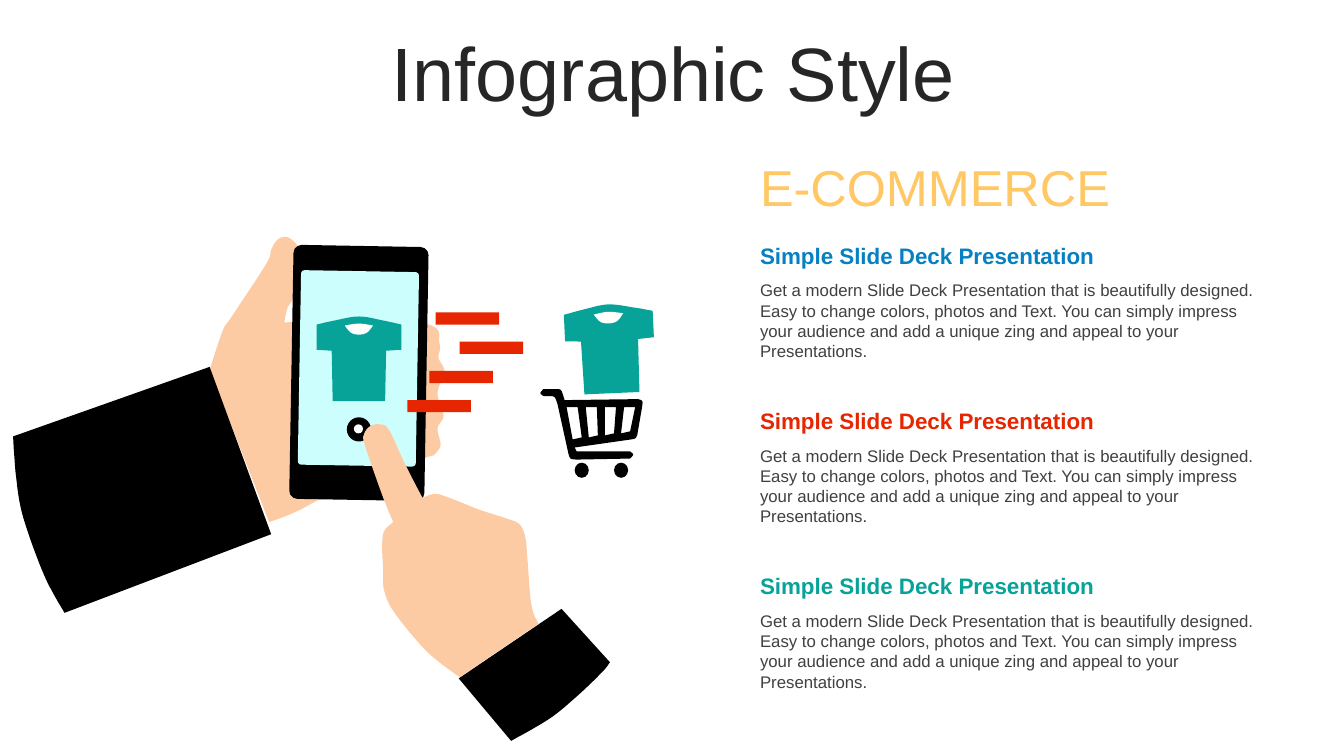
from dataclasses import dataclass
from math import cos, radians, sin

from pptx import Presentation
from pptx.dml.color import RGBColor
from pptx.enum.shapes import MSO_SHAPE as Preset
from pptx.enum.text import MSO_ANCHOR as Anchor, MSO_AUTO_SIZE as AutoSize, PP_ALIGN as Align
from pptx.shapes.base import BaseShape
from pptx.shapes.shapetree import GroupShapes
from pptx.slide import Slide
from pptx.text.text import TextFrame
from pptx.util import Inches, Pt

Point = tuple[float, float]
Edge = tuple[Point, ...]
Contour = tuple[Edge, ...]

COLORS = {
    "title": "262626", "body": "404040", "amber": "FFC864", "blue": "0680C3",
    "red": "E62601", "teal": "07A398", "skin": "FDCBA3", "black": "000000",
    "screen": "CDFEFE", "white": "FEFEFD",
}
HEADING = "Simple Slide Deck Presentation"
BODY = (
    "Get a modern Slide Deck Presentation that is beautifully designed. "
    "Easy to change colors, photos and Text. You can simply impress your audience "
    "and add a unique zing and appeal to your Presentations."
)
CURVE_STEPS = 8
UNITS_PER_INCH = 1000


@dataclass(frozen=True)
class Outline:
    color: str
    contours: tuple[Contour, ...]


@dataclass(frozen=True)
class Block:
    preset: Preset
    color: str
    left: float
    top: float
    width: float
    height: float
    rotation: float = 0
    corner: float | None = None


@dataclass(frozen=True)
class Label:
    text: str
    color: str
    size: int
    left: float
    top: float
    width: float
    height: float
    bold: bool = False
    align: Align = Align.LEFT
    anchor: Anchor = Anchor.TOP


def straight(*corners: Point) -> Contour:
    return tuple((corner,) for corner in corners)


def mirrored(points: Edge) -> Edge:
    return tuple((-x, y) for x, y in reversed(points))


def placed(contour: Contour, x: float, y: float, scale: float, degrees: float) -> Contour:
    across, down = scale * cos(radians(degrees)), scale * sin(radians(degrees))
    return tuple(
        tuple((x + across * u - down * v, y + down * u + across * v) for u, v in edge)
        for edge in contour
    )


def shirt(x: float, y: float, scale: float = 1, degrees: float = 0) -> tuple[Outline, Outline]:
    side = ((0.42, 0.08), (0.42, 0.33), (0.27, 0.34), (0.26, 0.84))
    shoulder, neck_end = (0.24, 0.04), (0.14, 0.09)
    shoulder_line = (*mirrored((shoulder,)), (0, 0), shoulder, side[0])
    body = (shoulder_line, *straight(*side[1:], *mirrored(side)))
    neck_dip = ((0.08, 0.16), (0, 0.18), *mirrored((neck_end, (0.08, 0.16))))
    collar = (((0, 0.07), neck_end), neck_dip)
    return (Outline("teal", (placed(body, x, y, scale, degrees),)),
            Outline("white", (placed(collar, x, y, scale, degrees),)))


def cart_slot(column: int) -> Contour:
    top_left, bottom_left = 5.62 + 0.19 * column, 5.68 + 0.16 * column
    bottom = 4.36 - 0.02 * column
    return straight((top_left, 4.04), (top_left + 0.11, 4.04),
                    (bottom_left + 0.09, bottom - 0.02), (bottom_left, bottom))


THUMB = ((2.21, 3.28), (2.3, 3.14), (2.64, 2.62), (2.69, 2.48), (2.75, 2.38),
         (2.84, 2.35), (2.92, 2.4), (2.95, 2.44))
THUMB_CROOK = ((2.92, 2.6), (2.91, 2.93), (2.85, 3.06), (2.82, 3.2))
FOUR_FINGERS = ((4.21, 3.21), (4.36, 3.41), (4.35, 3.55), (4.41, 3.69), (4.34, 3.9),
                (4.4, 4.12), (4.34, 4.25), (4.37, 4.42), (4.3, 4.52))
PALM_HEEL = ((4.17, 4.56), (3.35, 4.87), (2.93, 5.08), (2.67, 5.18))
HOLDING_HAND = Outline("skin", (
    (THUMB, THUMB_CROOK, ((3.09, 3.18),), FOUR_FINGERS, PALM_HEEL, ((2.08, 3.67),)),))

HAND_EDGE = ((4.24, 6.47), (3.92, 6.09), (3.81, 5.86), (3.8, 5.64), (3.79, 5.43),
             (3.81, 5.27), (3.9, 5.18))
INDEX_FINGER = ((3.79, 4.91), (3.62, 4.42), (3.61, 4.31), (3.67, 4.23), (3.77, 4.21),
                (3.86, 4.27), (4.02, 4.61), (4.19, 4.94))
KNUCKLES = ((4.31, 4.9), (4.43, 4.93), (4.61, 5), (4.76, 5.06), (5.01, 5.14),
            (5.15, 5.2), (5.21, 5.33), (5.23, 5.53), (5.27, 6), (5.34, 6.19))
TAPPING_HAND = Outline("skin", ((HAND_EDGE, INDEX_FINGER, KNUCKLES, ((4.56, 6.72),)),))

LEFT_HEM = ((0.44, 5.71), (0.23, 5.13), (0.16, 4.73), (0.13, 4.33))
LEFT_SLEEVE = Outline("black", (
    (*straight((2.08, 3.64), (2.69, 5.3), (0.64, 6.08)), LEFT_HEM),))
RIGHT_HEM = ((5.97, 6.67), (5.72, 6.91), (5.45, 7.13), (5.07, 7.35))
RIGHT_SLEEVE = Outline("black", (
    (*straight((4.55, 6.73), (5.57, 6.04), (6.05, 6.57)), RIGHT_HEM),))

CART_HANDLE = (((5.36, 3.9), (5.39, 3.86)), ((5.54, 3.86),), ((5.57, 3.88), (5.6, 3.97)))
CART_BASKET = (((6.33, 3.96),), ((6.37, 3.98), (6.37, 4.03)), ((6.32, 4.32),),
               ((6.3, 4.35), (6.26, 4.36)), ((5.7, 4.44),))
CART_RAIL = (((5.72, 4.48),), ((6.25, 4.48),), ((6.28, 4.51), (6.25, 4.55)),
             ((5.71, 4.56),), ((5.66, 4.55), (5.64, 4.51)))
CART_POST = (((5.53, 4.01),), ((5.5, 3.94), (5.44, 3.93)), ((5.39, 3.93),))
CART_FRAME = Outline("black", (
    (*CART_HANDLE, *CART_BASKET, *CART_RAIL, *CART_POST),
    *(cart_slot(column) for column in range(4))))
CART_WHEELS = tuple(
    Block(Preset.OVAL, "black", left, 4.59, 0.14, 0.15) for left in (5.7, 6.09))

PHONE = (
    Block(Preset.ROUNDED_RECTANGLE, "black", 2.89, 2.44, 1.34, 2.52, 1, 0.06),
    Block(Preset.ROUNDED_RECTANGLE, "screen", 2.97, 2.69, 1.17, 1.93, 1, 0.03),
    Block(Preset.OVAL, "black", 3.44, 4.14, 0.24, 0.24),
    Block(Preset.OVAL, "white", 3.51, 4.21, 0.09, 0.09),
)
SPEED_BARS = tuple(
    Block(Preset.RECTANGLE, "red", left, 3.1 + 0.29 * row, 0.63, 0.12)
    for row, left in enumerate((4.32, 4.56, 4.26, 4.04)))


def smooth(points: Edge) -> list[Point]:
    if len(points) == 2:
        return [points[1]]
    padded = (points[0], *points, points[-1])
    curve = []
    for window in zip(padded, padded[1:], padded[2:], padded[3:]):
        for step in range(1, CURVE_STEPS + 1):
            t = step / CURVE_STEPS
            curve.append(tuple(
                b + ((c - a) * t + (2 * a - 5 * b + 4 * c - d) * t**2
                     + (3 * b - a - 3 * c + d) * t**3) / 2
                for a, b, c, d in zip(*window)))
    return curve


def to_units(point: Point) -> Point:
    return round(point[0] * UNITS_PER_INCH), round(point[1] * UNITS_PER_INCH)


def paint(shape: BaseShape, color: str) -> None:
    shape.shadow.inherit = False
    shape.fill.solid()
    shape.fill.fore_color.rgb = RGBColor.from_string(COLORS[color])
    shape.line.fill.background()


def draw_outline(canvas: GroupShapes, outline: Outline) -> None:
    builder = None
    for contour in outline.contours:
        start = corner = contour[-1][-1]
        if builder is None:
            builder = canvas.build_freeform(*to_units(start), scale=Inches(1) / UNITS_PER_INCH)
        else:
            builder.move_to(*to_units(start))
        points = []
        for edge in contour:
            points += smooth((corner, *edge))
            corner = edge[-1]
        builder.add_line_segments([to_units(point) for point in points], close=True)
    paint(builder.convert_to_shape(), outline.color)


def draw_block(canvas: GroupShapes, block: Block) -> None:
    bounds = map(Inches, (block.left, block.top, block.width, block.height))
    shape = canvas.add_shape(block.preset, *bounds)
    shape.rotation = block.rotation
    if block.corner is not None:
        shape.adjustments[0] = block.corner
    paint(shape, block.color)


def draw_group(slide: Slide, *items: Outline | Block) -> None:
    group = slide.shapes.add_group_shape()
    for item in items:
        draw = draw_outline if isinstance(item, Outline) else draw_block
        draw(group.shapes, item)


def write(frame: TextFrame, label: Label, auto_size: AutoSize) -> None:
    frame.text = label.text
    frame.word_wrap = True
    frame.auto_size = auto_size
    frame.vertical_anchor = label.anchor
    paragraph = frame.paragraphs[0]
    paragraph.alignment = label.align
    font = paragraph.font
    font.name, font.size, font.bold = "Arial", Pt(label.size), label.bold
    font.color.rgb = RGBColor.from_string(COLORS[label.color])


def draw_label(canvas: GroupShapes, label: Label) -> None:
    bounds = map(Inches, (label.left, label.top, label.width, label.height))
    write(canvas.add_textbox(*bounds).text_frame, label, AutoSize.SHAPE_TO_FIT_TEXT)


def set_title(slide: Slide, label: Label) -> None:
    title = slide.shapes.title
    title.left, title.top = Inches(label.left), Inches(label.top)
    title.width, title.height = Inches(label.width), Inches(label.height)
    write(title.text_frame, label, AutoSize.NONE)
    title.text_frame.paragraphs[0].line_spacing = 0.9


def main() -> None:
    presentation = Presentation()
    presentation.slide_width, presentation.slide_height = Inches(13.33), Inches(7.5)
    slide = presentation.slides.add_slide(presentation.slide_layouts[5])
    set_title(slide, Label("Infographic Style", "title", 54, 0.35, 0.37, 12.66, 0.79,
                           align=Align.CENTER, anchor=Anchor.MIDDLE))
    for items in (
        (HOLDING_HAND, LEFT_SLEEVE), PHONE, (RIGHT_SLEEVE, TAPPING_HAND),
        shirt(6.03, 3.02, 1.05, -2.6), (CART_FRAME, *CART_WHEELS),
        shirt(3.56, 3.14), SPEED_BARS,
    ):
        draw_group(slide, *items)
    heading = slide.shapes.add_group_shape().shapes
    draw_label(heading, Label("E-COMMERCE", "amber", 36, 7.44, 1.49, 3.83, 0.71,
                              align=Align.JUSTIFY, anchor=Anchor.MIDDLE))
    for row, color in enumerate(("blue", "red", "teal")):
        top = 2.35 + 1.64 * row
        topic = slide.shapes.add_group_shape().shapes
        draw_label(topic, Label(HEADING, color, 16, 7.44, top, 5.26, 0.37, bold=True))
        draw_label(topic, Label(BODY, "body", 12, 7.44, top + 0.38, 5.26, 0.91))
    presentation.save("out.pptx")


if __name__ == "__main__":
    main()
